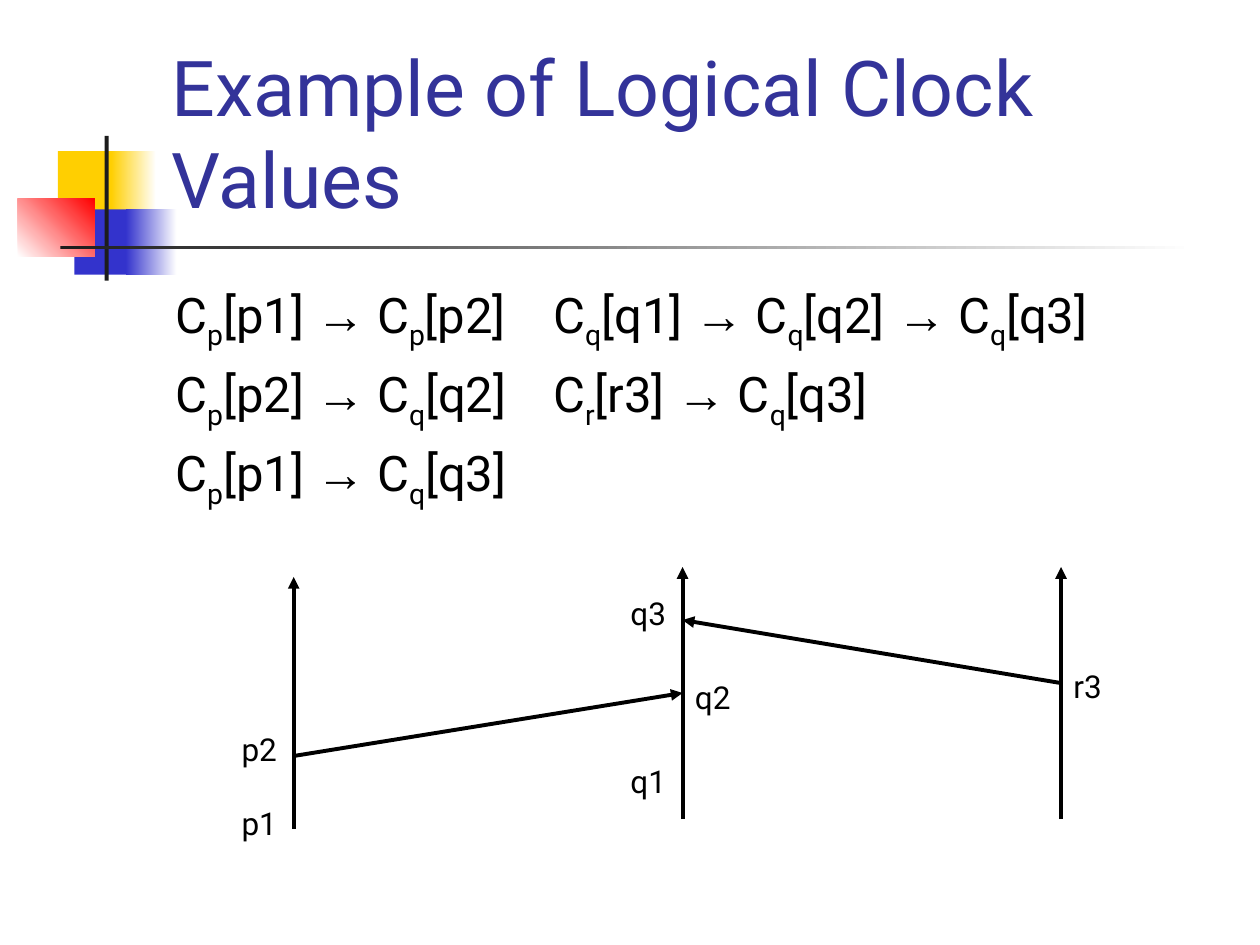
from lxml.etree import SubElement
from pptx import Presentation
from pptx.dml.color import RGBColor
from pptx.enum.shapes import MSO_CONNECTOR, MSO_SHAPE
from pptx.enum.text import MSO_ANCHOR, MSO_AUTO_SIZE, PP_ALIGN
from pptx.oxml.ns import qn
from pptx.util import Cm, Pt

HUES = {"gold": "FFCF01", "blue": "3333CC", "red": "FF0000", "dark": "1C1C1C",
        "white": "FFFFFF", "title": "333399", "ink": "000000"}


class Deck:
    face = "Roboto"

    def __init__(self):
        self.prs = Presentation()
        self.prs.slide_width, self.prs.slide_height = Cm(25.4), Cm(19.05)
        self.slide = self.prs.slides.add_slide(self.prs.slide_layouts[1])

    def hue(self, name):
        return RGBColor.from_string(HUES[name])

    def style(self, para, size, hue="ink"):
        font = para.font
        font.name, font.size = self.face, Pt(size)
        font.color.rgb = self.hue(hue)

    def place(self, shape, box):
        shape.left, shape.top, shape.width, shape.height = map(Cm, box)
        frame = shape.text_frame
        frame.word_wrap, frame.auto_size = True, MSO_AUTO_SIZE.NONE
        return frame

    def block(self, box, hue, end=None, angle=0):
        shape = self.slide.shapes.add_shape(MSO_SHAPE.RECTANGLE, *map(Cm, box))
        shape.shadow.inherit = False
        shape.line.fill.background()
        if end is None:
            shape.fill.solid()
            shape.fill.fore_color.rgb = self.hue(hue)
            return
        shape.fill.gradient()
        shape.fill.gradient_angle = angle
        for stop, name in zip(shape.fill.gradient_stops, (hue, end)):
            stop.color.rgb = self.hue(name)

    def title(self, text, box):
        frame = self.place(self.slide.shapes.title, box)
        frame.vertical_anchor = MSO_ANCHOR.BOTTOM
        para = frame.paragraphs[0]
        para.text, para.alignment = text, PP_ALIGN.LEFT
        self.style(para, 44, "title")

    def body(self, rows, box):
        frame = self.place(self.slide.placeholders[1], box)
        for num, (text, tab) in enumerate(rows):
            para = frame.add_paragraph() if num else frame.paragraphs[0]
            props = para._p.get_or_add_pPr()
            props.set("marL", "0")
            props.set("indent", "0")
            SubElement(props, qn("a:buNone"))
            if tab:
                tabs = SubElement(props, qn("a:tabLst"))
                SubElement(tabs, qn("a:tab"), pos=str(Cm(tab)), algn="l")
            para.space_before = Pt(7 if num else 0)
            self.style(para, 28)
            self.terms(para, text)

    def terms(self, para, text):
        """Add runs; the letter after each underscore is a subscript."""
        head, *rest = text.split("_")
        self.plain(para, head)
        for part in rest:
            sub = para.add_run()
            sub.text = part[0]
            sub._r.get_or_add_rPr().set("baseline", "-25000")
            self.plain(para, part[1:])

    def plain(self, para, text):
        left, arrow, right = text.partition("→")
        for part in filter(None, (left, arrow, right)):
            run = para.add_run()
            run.text = part
            if part == "→":
                run.font.name = "Arial"

    def arrow(self, start, end):
        line = self.slide.shapes.add_connector(
            MSO_CONNECTOR.STRAIGHT, *map(Cm, start + end))
        line.line.width = Pt(2.25)
        line.line.color.rgb = self.hue("ink")
        SubElement(line.line._get_or_add_ln(), qn("a:tailEnd"), type="triangle")
        SubElement(line._element.spPr, qn("a:effectLst"))

    def label(self, text, left, top):
        box = self.slide.shapes.add_textbox(*map(Cm, (left, top, 1.25, 1.02)))
        frame = box.text_frame
        frame.word_wrap = False
        frame.auto_size = MSO_AUTO_SIZE.SHAPE_TO_FIT_TEXT
        para = frame.paragraphs[0]
        para.text = text
        self.style(para, 18)


def main():
    deck = Deck()

    # Corner ornament and rule
    deck.block((1.17, 3.05, 1.22, 1.32), "gold")
    deck.block((2.24, 3.05, 0.91, 1.32), "gold", "white")
    deck.block((1.5, 4.22, 1.17, 1.32), "blue")
    deck.block((2.54, 4.22, 1.02, 1.32), "blue", "white")
    deck.block((0.36, 4.01, 1.55, 1.17), "white", "red", 45)
    deck.block((2.11, 2.74, 0.08, 2.92), "dark")
    deck.block((1.22, 4.95, 22.86, 0.08), "dark", "white")

    # Title and clock relations
    deck.title("Example of Logical Clock Values", (3.2, 0.58, 21.64, 4.06))
    deck.body([
        ("C_p[p1] → C_p[p2]\tC_q[q1] → C_q[q2] → C_q[q3]", 7.65),
        ("C_p[p2] → C_q[q2]\tC_r[r3] → C_q[q3]", 13.72),
        ("C_p[p1] → C_q[q3]", None),
    ], (3.28, 5.61, 21.59, 11.43))

    # Process time lines
    p, q, r = 5.92, 13.76, 21.39
    for left, foot in ((p, 16.71), (r, 16.51), (q, 16.51)):
        deck.arrow((left, foot), (left, foot - 5.08))

    # Messages
    deck.arrow((p, 15.24), (q, 13.97))
    deck.arrow((r, 13.77), (q, 12.5))

    # Event labels, left or right of their time line
    before = -1.3
    for text, line, side, top in (
            ("p1", p, before, 16.08), ("p2", p, before, 14.6),
            ("q1", q, before, 15.24), ("q2", q, 0, 13.54),
            ("q3", q, before, 11.86), ("r3", r, 0, 13.33)):
        deck.label(text, line + side, top)

    deck.prs.save("out.pptx")


if __name__ == "__main__":
    main()
